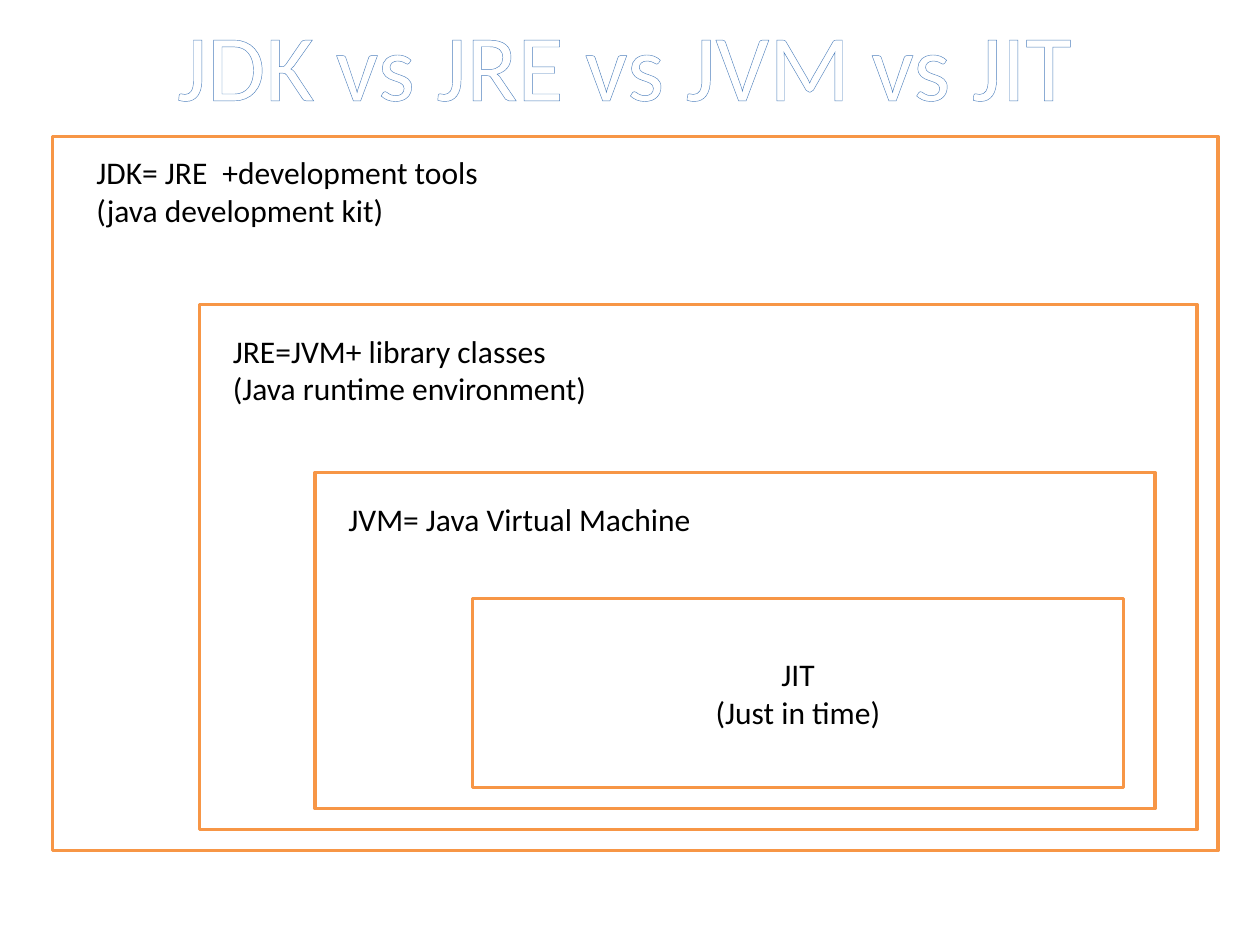
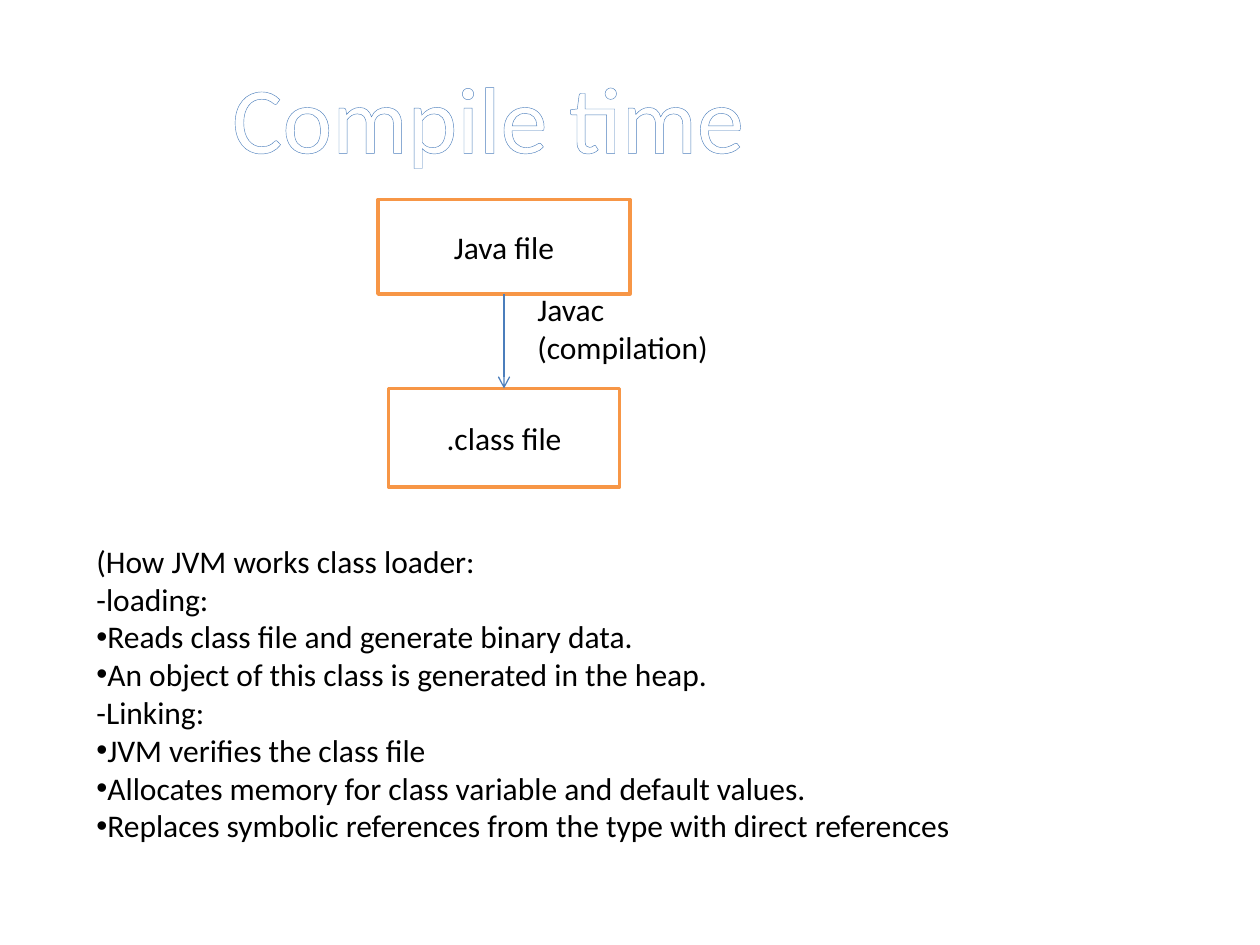
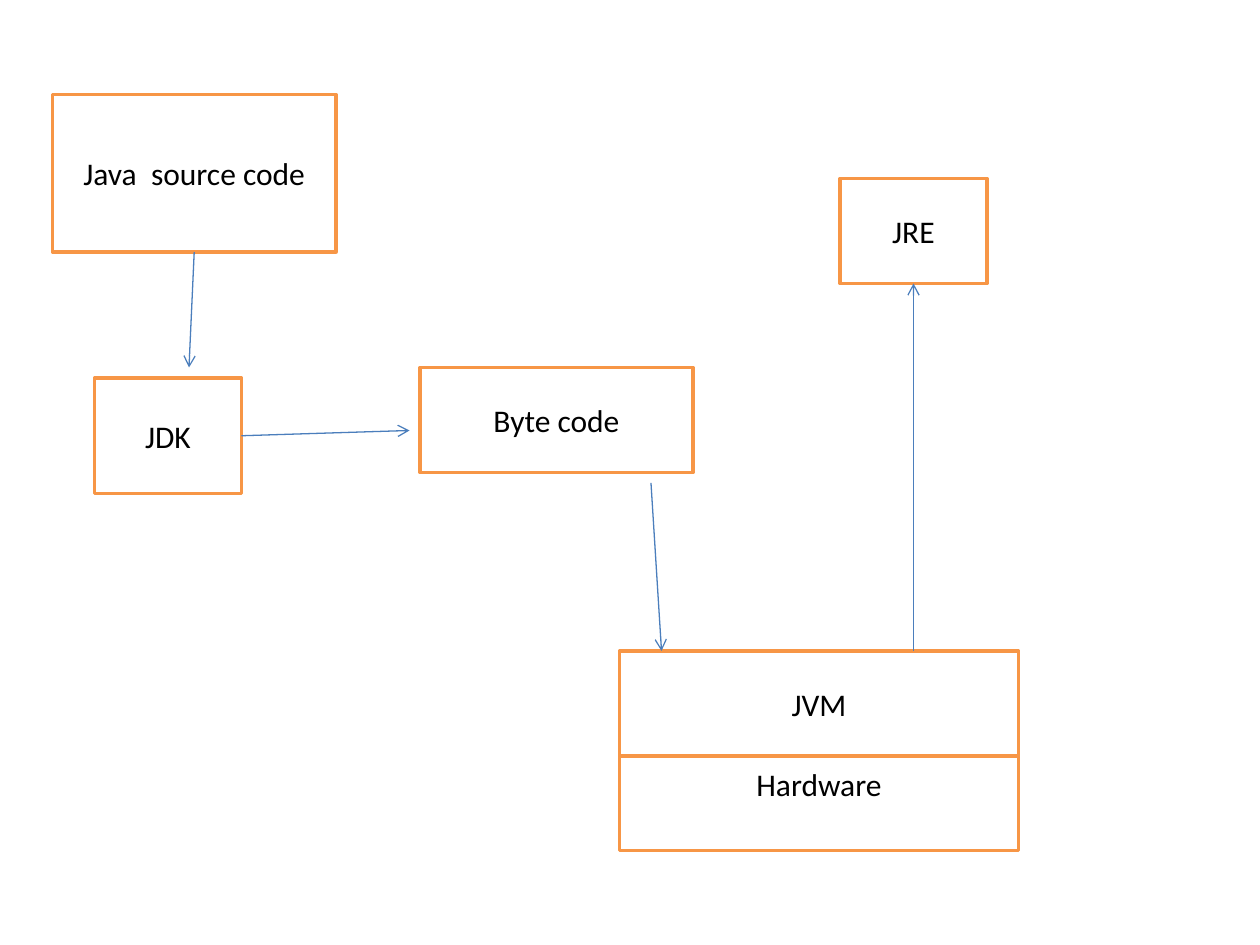
from collections import namedtuple

from lxml.etree import SubElement
from pptx import Presentation
from pptx.dml.color import RGBColor
from pptx.enum.shapes import MSO_CONNECTOR, MSO_SHAPE
from pptx.enum.text import MSO_ANCHOR, MSO_AUTO_SIZE, PP_ALIGN
from pptx.oxml.ns import qn
from pptx.util import Inches, Pt

# Shared look
FONT = "Calibri"
WHITE, BLACK, ORANGE = "FFFFFF", "000000", "F79646"
TITLE_BLUE, ARROW_BLUE = "4F81BD", "4B7EBC"
BODY_SIZE, TITLE_SIZE = 18, 54
TITLE_ONLY, BLANK = 5, 6
TOP, LEFT, BOTTOM, RIGHT = range(4)

# The slide is a grid of 120 columns by 90 rows
SLIDE_WIDTH, SLIDE_HEIGHT = Inches(10), Inches(7.5)
COLUMN, ROW = SLIDE_WIDTH / 120, SLIDE_HEIGHT / 90
TITLE_ROWS, LINE_ROWS = 12.1, 3.6

Box = namedtuple("Box", "column row columns rows")


def within(box, column, row, columns, rows):
    """Return a box placed relative to the corner of another."""
    return Box(box.column + column, box.row + row, columns, rows)


def point(column, row):
    return round(column * COLUMN), round(row * ROW)


def frame(box):
    return point(box.column, box.row) + point(box.columns, box.rows)


def color(value):
    return RGBColor.from_string(value)


def add_bullet(para):
    properties = para._p.get_or_add_pPr()
    properties.set("marL", "0")
    properties.set("indent", "0")
    SubElement(properties, qn("a:buFont"), typeface="Arial")
    SubElement(properties, qn("a:buChar"), char="•")


def outline_text(span, value, width):
    properties = span._r.get_or_add_rPr()
    line = SubElement(properties, qn("a:ln"), w=str(Pt(width)))
    fill = SubElement(line, qn("a:solidFill"))
    SubElement(fill, qn("a:srgbClr"), val=value)
    properties.insert(0, line)


def write(shape, text, size=BODY_SIZE, fill=BLACK, align=PP_ALIGN.LEFT,
          anchor=MSO_ANCHOR.TOP, outline=None):
    """Write one paragraph a line; a leading • makes a bullet."""
    text_frame = shape.text_frame
    text_frame.word_wrap = True
    text_frame.vertical_anchor = anchor
    for index, line in enumerate(text.splitlines()):
        para = text_frame.add_paragraph() if index else text_frame.paragraphs[0]
        para.alignment = align
        if line.startswith("•"):
            add_bullet(para)
        span = para.add_run()
        span.text = line.removeprefix("•")
        span.font.name, span.font.size = FONT, Pt(size)
        span.font.color.rgb = color(fill)
        if outline:
            outline_text(span, outline, 0.8)


def add_title(page, box, text):
    title = page.shapes.title
    title.left, title.top, title.width, title.height = frame(box)
    title.text_frame.auto_size = MSO_AUTO_SIZE.NONE
    write(title, text, size=TITLE_SIZE, fill=WHITE, align=PP_ALIGN.CENTER,
          outline=TITLE_BLUE)


def add_label(page, box, text):
    write(page.shapes.add_textbox(*frame(box)), text)


def add_panel(page, box, text=""):
    panel = page.shapes.add_shape(MSO_SHAPE.RECTANGLE, *frame(box))
    panel.shadow.inherit = False
    panel.fill.solid()
    panel.fill.fore_color.rgb = color(WHITE)
    panel.line.color.rgb = color(ORANGE)
    panel.line.width = Pt(2)
    write(panel, text, align=PP_ALIGN.CENTER, anchor=MSO_ANCHOR.MIDDLE)
    return panel


def add_arrow(page, start, end, begin_at=None, end_at=None):
    """Draw an arrow; begin_at and end_at are (panel, side) pairs."""
    arrow = page.shapes.add_connector(MSO_CONNECTOR.STRAIGHT, *point(*start), *point(*end))
    if begin_at:
        arrow.begin_connect(*begin_at)
    if end_at:
        arrow.end_connect(*end_at)
    arrow.line.color.rgb = color(ARROW_BLUE)
    arrow.line.width = Pt(0.75)
    SubElement(arrow.line._get_or_add_ln(), qn("a:tailEnd"), type="arrow")
    SubElement(arrow._element.spPr, qn("a:effectLst"))


def add_layer(page, box, text, indent, drop, columns):
    """A panel with its label in the upper left corner."""
    add_panel(page, box)
    rows = LINE_ROWS * len(text.splitlines()) + 1.2
    add_label(page, within(box, indent, drop, columns, rows), text)


# Slide 1: each layer encloses the next
def nested_layers(page, box):
    add_layer(page, box, "JDK= JRE\t+development tools\n(java development kit)", 3, 1, 44)
    runtime = within(box, 14, 16, 95, 50)
    add_layer(page, runtime, "JRE=JVM+ library classes\n(Java runtime environment)", 2, 2, 48)
    machine = within(runtime, 11, 16, 80, 32)
    add_layer(page, machine, "JVM= Java Virtual Machine", 2, 2, 39)
    add_panel(page, within(machine, 15, 12, 62, 18), "JIT\n(Just in time)")


# Slide 2: compilation from source file to class file
def compile_steps(page, box):
    source = add_panel(page, within(box, 0, 0, 24, 9), "Java file")
    target = add_panel(page, within(box, 1, 18, 22, 9.4), ".class file")
    middle = box.column + 12
    add_arrow(page, (middle, box.row + 9), (middle, box.row + 18),
              begin_at=(source, BOTTOM), end_at=(target, TOP))
    add_label(page, within(box, 14, 8, 25, 8.5), "Javac\n(compilation)")


CLASS_LOADER = """(How JVM works class loader:
-loading:
•Reads class file and generate binary data.
•An object of this class is generated in the heap.
-Linking:
•JVM verifies the class file
•Allocates memory for class variable and default values.
•Replaces symbolic references from the type with direct references"""


# Slide 3: the way from source code to hardware
def execution_flow(page, box):
    source = add_panel(page, within(box, 0, 0, 27, 15), "Java  source code")
    kit = add_panel(page, within(box, 4, 27, 14, 11), "JDK")
    add_panel(page, within(box, 35, 26, 26, 10), "Byte code")
    add_panel(page, within(box, 54, 53, 38, 10), "JVM")
    runtime = add_panel(page, within(box, 75, 8, 14, 10), "JRE")
    hardware = add_panel(page, within(box, 54, 63, 38, 9), "Hardware")
    hardware.text_frame.margin_bottom = Inches(0.35)

    arrows = [
        ((13.5, 15), (13, 26), (source, BOTTOM), None),
        ((18, 32.5), (34, 32), (kit, RIGHT), None),
        ((57, 37), (58, 53), None, None),
        ((82, 53), (82, 18), None, (runtime, BOTTOM)),
    ]
    for start, end, begin_at, end_at in arrows:
        start, end = [(box.column + x, box.row + y) for x, y in (start, end)]
        add_arrow(page, start, end, begin_at, end_at)


def main():
    deck = Presentation()
    deck.slide_width, deck.slide_height = SLIDE_WIDTH, SLIDE_HEIGHT

    page = deck.slides.add_slide(deck.slide_layouts[TITLE_ONLY])
    add_title(page, Box(7, 0, 105, TITLE_ROWS), "JDK vs JRE vs JVM vs JIT")
    nested_layers(page, Box(5, 13, 111, 68))

    page = deck.slides.add_slide(deck.slide_layouts[TITLE_ONLY])
    add_title(page, Box(5, 5, 83, TITLE_ROWS), "Compile time")
    compile_steps(page, Box(36, 19, 24, 27.4))
    add_label(page, Box(8, 51, 105, 34), CLASS_LOADER)

    page = deck.slides.add_slide(deck.slide_layouts[BLANK])
    execution_flow(page, Box(5, 9, 92, 72))

    deck.save("out.pptx")


if __name__ == "__main__":
    main()
